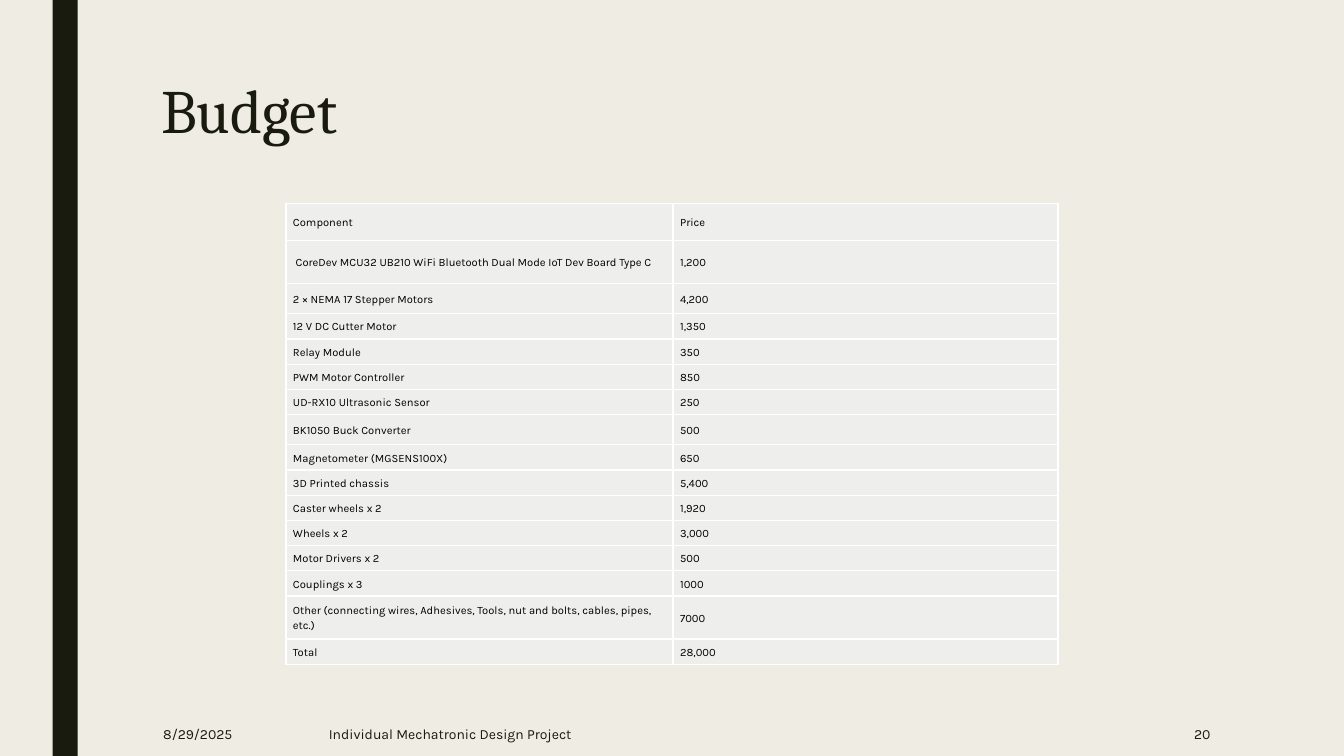
import dataclasses

import lxml.etree
import pptx
import pptx.dml.color
import pptx.enum.shapes
import pptx.enum.text
import pptx.oxml.ns
import pptx.util

Pt = pptx.util.Pt
ANCHOR = pptx.enum.text.MSO_ANCHOR
ALIGN = pptx.enum.text.PP_ALIGN


@dataclasses.dataclass(frozen=True)
class Theme:
    background: str = "EFEDE3"
    ink: str = "191B0E"
    cell: str = "EEEEED"
    cell_ink: str = "000000"
    border: str = "FFFFFF"
    heading_font: str = "Cambria"
    body_font: str = "Karla"
    title_size: float = 44
    footer_size: float = 10
    cell_size: float = 8


THEME = Theme()
COMMON_ROW, MEDIUM_ROW, HEADER_ROW, TALL_ROW = 18, 21.6, 26.4, 30.7

BUDGET = [
    ("Component", "Price", HEADER_ROW),
    (" CoreDev MCU32 UB210 WiFi Bluetooth Dual Mode IoT Dev Board Type C ", "1,200", TALL_ROW),
    ("2 × NEMA 17 Stepper Motors", "4,200", MEDIUM_ROW),
    ("12 V DC Cutter Motor", "1,350", COMMON_ROW),
    ("Relay Module", "350", COMMON_ROW),
    ("PWM Motor Controller", "850", COMMON_ROW),
    ("UD-RX10 Ultrasonic Sensor", "250", COMMON_ROW),
    ("BK1050 Buck Converter", "500", MEDIUM_ROW),
    ("Magnetometer (MGSENS100X)", "650", COMMON_ROW),
    ("3D Printed chassis", "5,400", COMMON_ROW),
    ("Caster wheels x 2", "1,920", COMMON_ROW),
    ("Wheels x 2", "3,000", COMMON_ROW),
    ("Motor Drivers x 2", "500", COMMON_ROW),
    ("Couplings x 3", "1000", COMMON_ROW),
    ("Other (connecting wires, Adhesives, Tools, nut and bolts, cables, pipes, etc.)", "7000", TALL_ROW),
    ("Total", "28,000", COMMON_ROW),
]


def rgb(value):
    return pptx.dml.color.RGBColor.from_string(value)


def add_run(paragraph, wording, font, size, color):
    run = paragraph.add_run()
    run.text = wording
    run.font.name = font
    run.font.size = Pt(size)
    run.font.color.rgb = rgb(color)


def add_label(slide, box, wording, font, size, anchor, align=ALIGN.LEFT, spacing=None):
    frame = slide.shapes.add_textbox(*map(Pt, box)).text_frame
    frame.word_wrap = True
    frame.vertical_anchor = anchor
    paragraph = frame.paragraphs[0]
    paragraph.alignment = align
    paragraph.line_spacing = spacing
    add_run(paragraph, wording, font, size, THEME.ink)


def add_side_band(slide, box):
    band = slide.shapes.add_shape(pptx.enum.shapes.MSO_SHAPE.RECTANGLE, *map(Pt, box))
    band.shadow.inherit = False
    band.fill.solid()
    band.fill.fore_color.rgb = rgb(THEME.ink)
    band.line.fill.background()


def add_title(slide, box):
    add_label(slide, box, "Budget", THEME.heading_font, THEME.title_size, ANCHOR.TOP, spacing=0.89)


def add_footer(slide, box):
    left, top, width, height = box
    parts = [
        ("8/29/2025", 0, 95, ALIGN.LEFT),
        ("Individual Mechatronic Design Project", 118.3, 495, ALIGN.LEFT),
        ("20", width - 126, 126, ALIGN.RIGHT),
    ]
    for wording, offset, part_width, align in parts:
        add_label(slide, (left + offset, top, part_width, height), wording,
                  THEME.body_font, THEME.footer_size, ANCHOR.MIDDLE, align)


def add_borders(cell):
    qn = pptx.oxml.ns.qn
    properties = cell._tc.get_or_add_tcPr()
    for position, side in enumerate(("a:lnL", "a:lnR", "a:lnT", "a:lnB")):
        border = lxml.etree.Element(qn(side), w=str(Pt(1)))
        fill = lxml.etree.SubElement(border, qn("a:solidFill"))
        lxml.etree.SubElement(fill, qn("a:srgbClr"), val=THEME.border)
        properties.insert(position, border)


def fill_cell(cell, wording):
    cell.fill.solid()
    cell.fill.fore_color.rgb = rgb(THEME.cell)
    cell.vertical_anchor = ANCHOR.MIDDLE
    cell.margin_left = cell.margin_right = Pt(5)
    cell.margin_top = cell.margin_bottom = Pt(2.2)
    add_borders(cell)
    paragraph = cell.text_frame.paragraphs[0]
    paragraph.line_spacing = 1.15
    paragraph.space_after = Pt(8)
    add_run(paragraph, wording, THEME.body_font, THEME.cell_size, THEME.cell_ink)


def add_budget_table(slide, box):
    table = slide.shapes.add_table(len(BUDGET), 2, *map(Pt, box)).table
    table.first_row = table.horz_banding = False
    component_width = 276.5
    table.columns[0].width = Pt(component_width)
    table.columns[1].width = Pt(box[2] - component_width)
    for row, (component, price, height) in enumerate(BUDGET):
        table.rows[row].height = Pt(height)
        fill_cell(table.cell(row, 0), component)
        fill_cell(table.cell(row, 1), price)


def build_budget_slide(presentation):
    slide = presentation.slides.add_slide(presentation.slide_layouts[6])
    slide.background.fill.solid()
    slide.background.fill.fore_color.rgb = rgb(THEME.background)
    add_side_band(slide, (37.5, 0, 18, 540))
    add_title(slide, (108, 54, 756, 117))
    add_footer(slide, (109.5, 508.5, 762.2, 31.5))
    table_height = sum(height for _, _, height in BUDGET)
    add_budget_table(slide, (204.3, 145.4, 551.5, table_height))


def main():
    presentation = pptx.Presentation()
    presentation.slide_width = Pt(960)
    presentation.slide_height = Pt(540)
    build_budget_slide(presentation)
    presentation.save("out.pptx")


if __name__ == "__main__":
    main()
